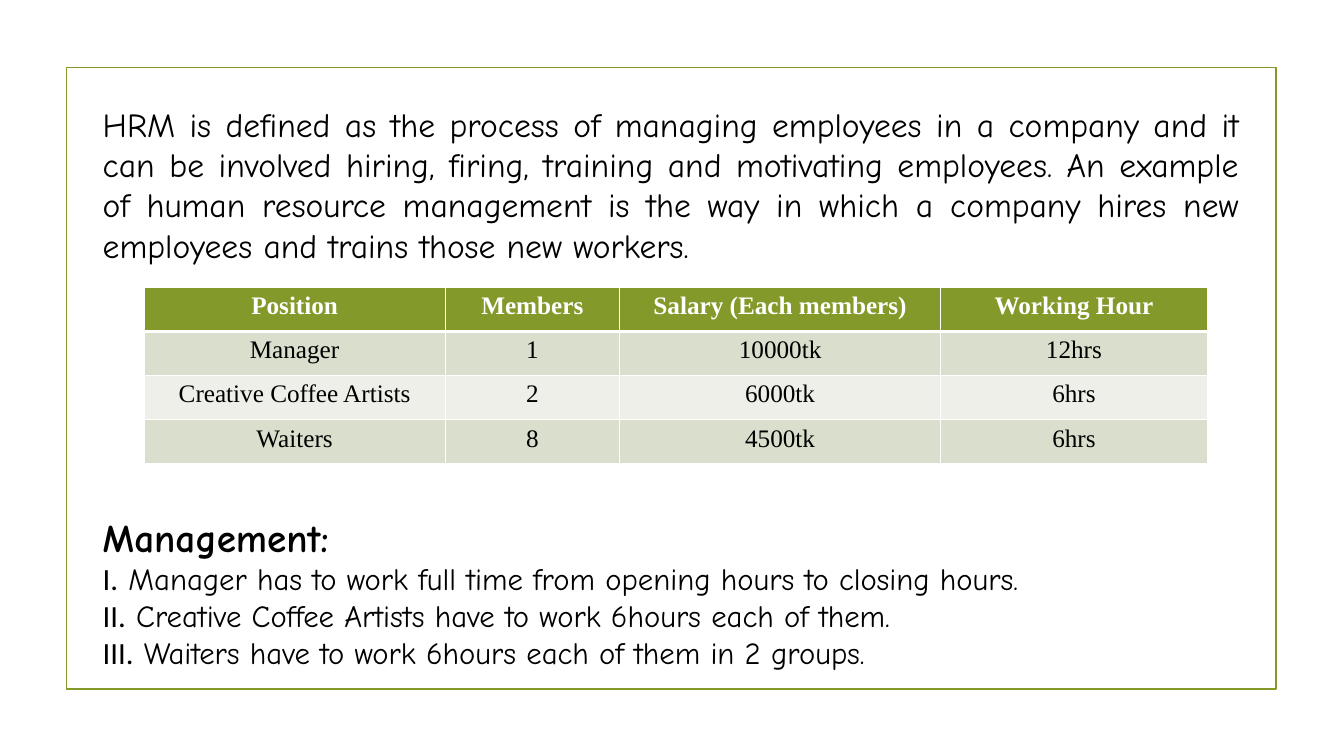
import pptx
import pptx.util
import pptx.dml.color
import pptx.enum.shapes
import pptx.enum.text
import pptx.oxml
import pptx.oxml.ns
from pptx.util import Cm

# Content
DEFINITION = (
    "HRM is defined as the process of managing employees in a company and it can be "
    "involved hiring, firing, training and motivating employees. An example of human "
    "resource management is the way in which a company hires new employees and trains "
    "those new workers."
)
HEADING = "Management:"
DUTIES = [
    ("I.", " Manager has to work full time from opening hours to closing hours."),
    ("II.", " Creative Coffee Artists have to work 6hours each of them."),
    ("III.", " Waiters have to work 6hours each of them in 2 groups."),
]
STAFF = [
    ("Position", "Members", "Salary (Each members)", "Working Hour"),
    ("Manager", "1", "10000tk", "12hrs"),
    ("Creative Coffee Artists", "2", "6000tk", "6hrs"),
    ("Waiters", "8", "4500tk", "6hrs"),
]
COLUMN_WIDTHS = [7.59, 4.39, 8.1, 6.71]
ROW_HEIGHT = 1.11

# Style
GREEN = pptx.dml.color.RGBColor(0x83, 0x99, 0x2A)
BAND_DARK = pptx.dml.color.RGBColor(0xD9, 0xDE, 0xCD)
BAND_LIGHT = pptx.dml.color.RGBColor(0xED, 0xEF, 0xE8)
BLACK = pptx.dml.color.RGBColor(0, 0, 0)
WHITE = pptx.dml.color.RGBColor(0xFF, 0xFF, 0xFF)
HAND = "Comic Neue"
ALIGN = pptx.enum.text.PP_ALIGN


def add_text(para, text, size, font=HAND, bold=False, color=BLACK, align=ALIGN.JUSTIFY):
    para.alignment = align
    span = para.add_run()
    span.text = text
    span.font.size = pptx.util.Pt(size)
    span.font.name = font
    span.font.bold = bold
    span.font.color.rgb = color


def set_borders(cell, widths):
    properties = cell._tc.get_or_add_tcPr()
    for position, (side, width) in enumerate(widths.items()):
        properties.insert(position, pptx.oxml.parse_xml(
            f'<a:ln{side} {pptx.oxml.ns.nsdecls("a")} w="{pptx.util.Pt(width)}">'
            f'<a:solidFill><a:srgbClr val="{WHITE}"/></a:solidFill></a:ln{side}>'))


deck = pptx.Presentation()
deck.slide_width, deck.slide_height = Cm(33.87), Cm(19.05)
page = deck.slides.add_slide(deck.slide_layouts[6])

# Frame
frame = page.shapes.add_shape(pptx.enum.shapes.MSO_SHAPE.RECTANGLE,
                              Cm(1.68), Cm(1.7), Cm(30.48), Cm(15.67))
frame.shadow.inherit = False
frame.fill.background()
frame.line.color.rgb = GREEN
frame.line.width = pptx.util.Pt(1.25)

# Definition and management duties, with room for the table between them
box = page.shapes.add_textbox(Cm(2.34), Cm(2.49), Cm(29.13), Cm(14.53)).text_frame
box.word_wrap = True
add_text(box.paragraphs[0], DEFINITION, 24)
heading = box.add_paragraph()
heading.space_before = pptx.util.Pt(177)
add_text(heading, HEADING, 28, bold=True)
for numeral, duty in DUTIES:
    para = box.add_paragraph()
    add_text(para, numeral, 22, font="Calibri")
    add_text(para, duty, 22)

# Staff table
table = page.shapes.add_table(len(STAFF), len(COLUMN_WIDTHS), Cm(3.63), Cm(7.24),
                              Cm(sum(COLUMN_WIDTHS)), Cm(ROW_HEIGHT * len(STAFF))).table
for column, width in zip(table.columns, COLUMN_WIDTHS):
    column.width = Cm(width)
for r, record in enumerate(STAFF):
    table.rows[r].height = Cm(ROW_HEIGHT)
    header = r == 0
    for c, value in enumerate(record):
        cell = table.cell(r, c)
        cell.fill.solid()
        cell.fill.fore_color.rgb = GREEN if header else BAND_DARK if r % 2 else BAND_LIGHT
        set_borders(cell, {"L": 1, "R": 1, "T": 3 if r == 1 else 1, "B": 3 if header else 1})
        add_text(cell.text_frame.paragraphs[0], value, 18, font="Times New Roman",
                 bold=header, color=WHITE if header else BLACK, align=ALIGN.CENTER)

deck.save("out.pptx")
